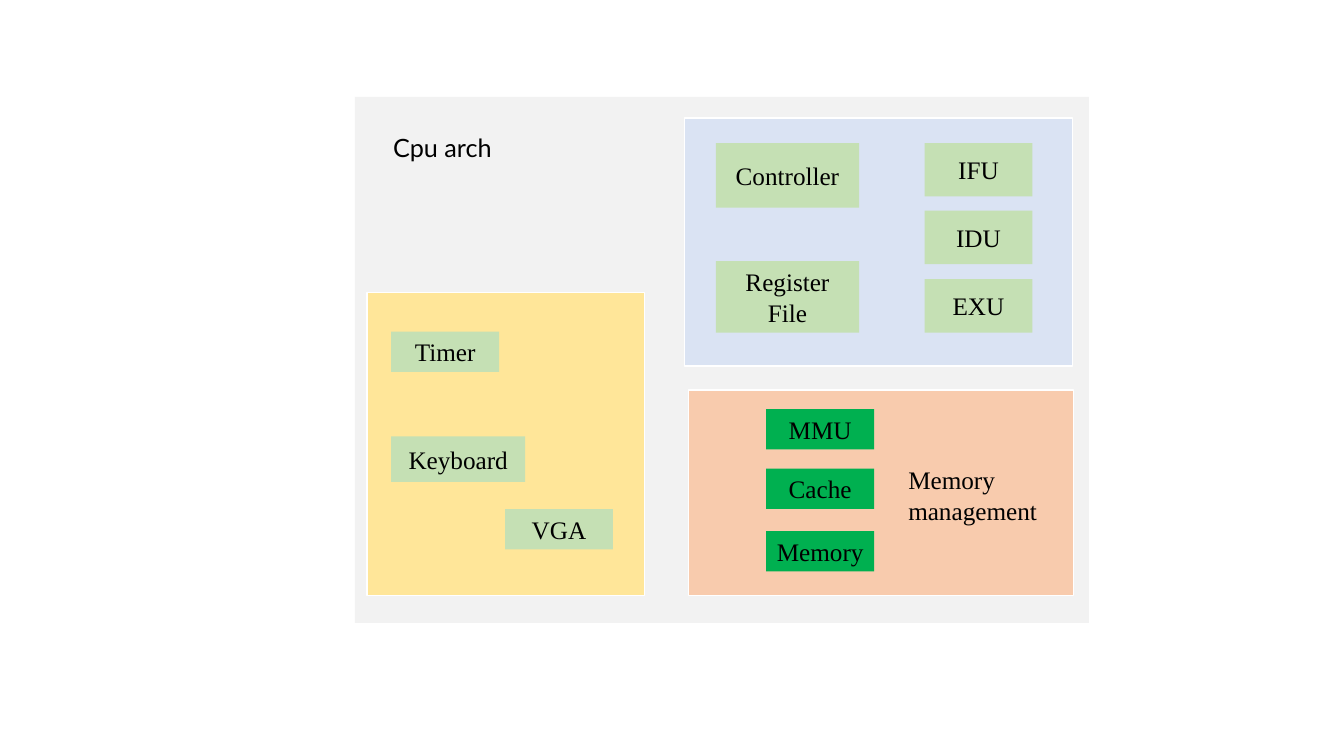
from pptx import Presentation
from pptx.dml.color import RGBColor
from pptx.enum.shapes import MSO_SHAPE
from pptx.enum.text import MSO_ANCHOR, MSO_AUTO_SIZE, PP_ALIGN
from pptx.util import Emu, Pt

RECTANGLE = MSO_SHAPE.RECTANGLE
MIDDLE = MSO_ANCHOR.MIDDLE
FIT_SHAPE = MSO_AUTO_SIZE.SHAPE_TO_FIT_TEXT
CENTER, LEFT = PP_ALIGN.CENTER, PP_ALIGN.LEFT

PX = 9144
SLIDE_SIZE = (1333, 750)
SERIF, SANS = "Times New Roman", "Lato"
BLACK, WHITE, GREY = "000000", "FFFFFF", "F2F2F2"
BLUE, ORANGE, YELLOW = "DAE3F3", "F8CBAD", "FFE699"
PALE_GREEN, GREEN = "C5E0B4", "00B050"

BOARD = (352, 96, 728, 522)
UNIT_WIDTH, DEVICE_HEIGHT = 107, 40

STAGES = ["IFU", "IDU", "EXU"]
STAGE_LEFT, STAGE_HEIGHT = 917, 53
FIRST_STAGE_TOP, LAST_STAGE_TOP = 142, 277

MEMORY_LEFT = 760
MEMORY_UNITS = [("MMU", 406), ("Cache", 465), ("Memory", 527)]

CORE_UNITS = [
    ("Controller", (710, 142, 142, 64)),
    ("Register File", (710, 259, 142, 71)),
]
DEVICES = [
    ("VGA", (501, 505, UNIT_WIDTH, DEVICE_HEIGHT)),
    ("Timer", (388, 329, UNIT_WIDTH, DEVICE_HEIGHT)),
    ("Keyboard", (388, 433, 133, 45)),
]
CAPTIONS = [
    (["Memory", "management"], (891, 456, 149, 71), SERIF),
    (["Cpu arch"], (380, 126, 136, 40), SANS),
]


def color(hex_code):
    return RGBColor.from_string(hex_code)


def emu(lengths):
    return [Emu(length * PX) for length in lengths]


def write(frame, lines, font_name, alignment):
    for index, line in enumerate(lines):
        paragraph = frame.add_paragraph() if index else frame.paragraphs[0]
        paragraph.alignment = alignment
        run = paragraph.add_run()
        run.text = line
        run.font.name = font_name
        run.font.size = Pt(18)
        run.font.color.rgb = color(BLACK)


def add_block(slide, box, fill, border=None):
    block = slide.shapes.add_shape(RECTANGLE, *emu(box))
    block.shadow.inherit = False
    block.fill.solid()
    block.fill.fore_color.rgb = color(fill)
    if border:
        block.line.color.rgb = color(border)
        block.line.width = Pt(1)
    else:
        block.line.fill.background()
    return block


def add_unit(slide, label, box, fill):
    frame = add_block(slide, box, fill).text_frame
    frame.word_wrap = True
    frame.vertical_anchor = MIDDLE
    write(frame, [label], SERIF, CENTER)


def add_caption(slide, lines, box, font_name):
    frame = slide.shapes.add_textbox(*emu(box)).text_frame
    frame.word_wrap = False
    frame.auto_size = FIT_SHAPE
    write(frame, lines, font_name, LEFT)


def main():
    deck = Presentation()
    deck.slide_width, deck.slide_height = emu(SLIDE_SIZE)
    slide = deck.slides.add_slide(deck.slide_layouts[6])

    stage_pitch = (LAST_STAGE_TOP - FIRST_STAGE_TOP) / (len(STAGES) - 1)
    stages = [
        (stage, (STAGE_LEFT, int(FIRST_STAGE_TOP + index * stage_pitch), UNIT_WIDTH, STAGE_HEIGHT))
        for index, stage in enumerate(STAGES)
    ]
    memory_units = [
        (unit, (MEMORY_LEFT, top, UNIT_WIDTH, DEVICE_HEIGHT))
        for unit, top in MEMORY_UNITS
    ]
    regions = [
        ((679, 117, 385, 246), BLUE, CORE_UNITS + stages, PALE_GREEN),
        ((683, 387, 382, 204), ORANGE, memory_units, GREEN),
        ((364, 290, 275, 301), YELLOW, DEVICES, PALE_GREEN),
    ]

    add_block(slide, BOARD, GREY)
    for region_box, region_fill, units, unit_fill in regions:
        add_block(slide, region_box, region_fill, WHITE)
        for label, unit_box in units:
            add_unit(slide, label, unit_box, unit_fill)
    for lines, caption_box, font_name in CAPTIONS:
        add_caption(slide, lines, caption_box, font_name)

    deck.save("out.pptx")


if __name__ == "__main__":
    main()
